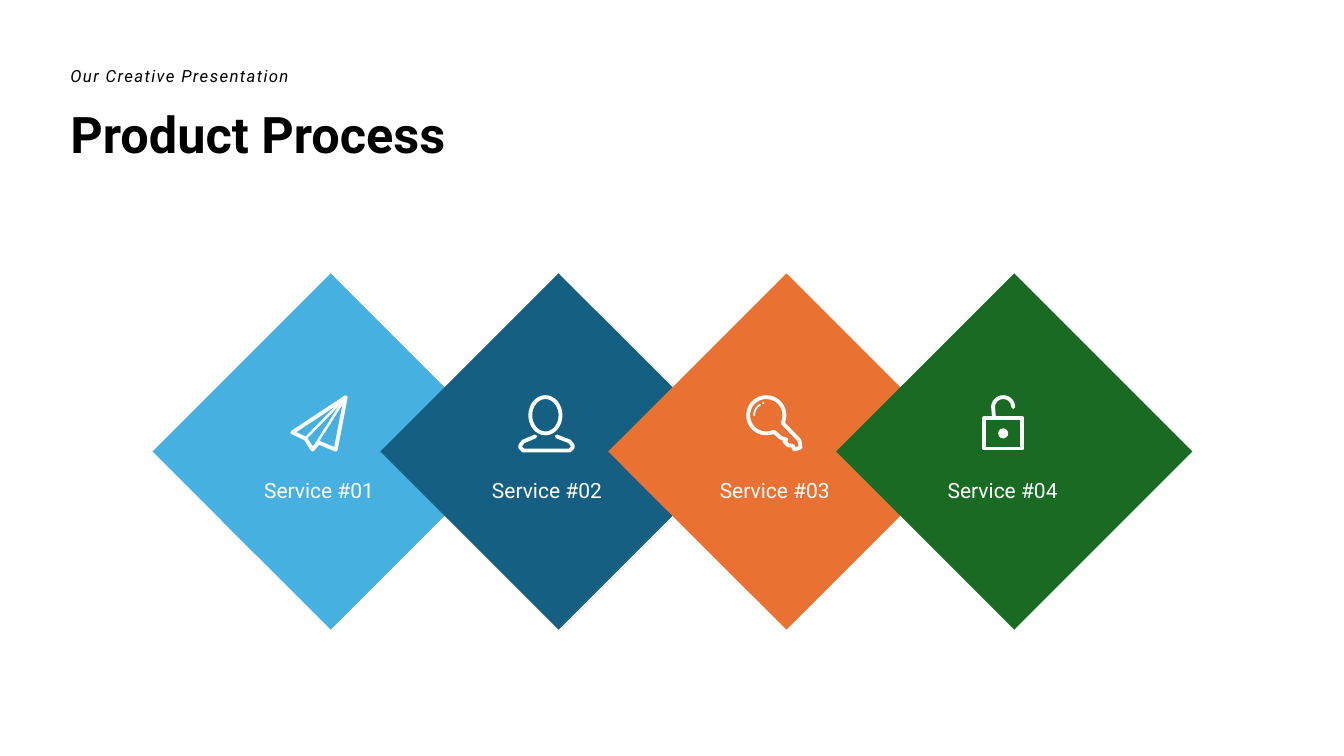
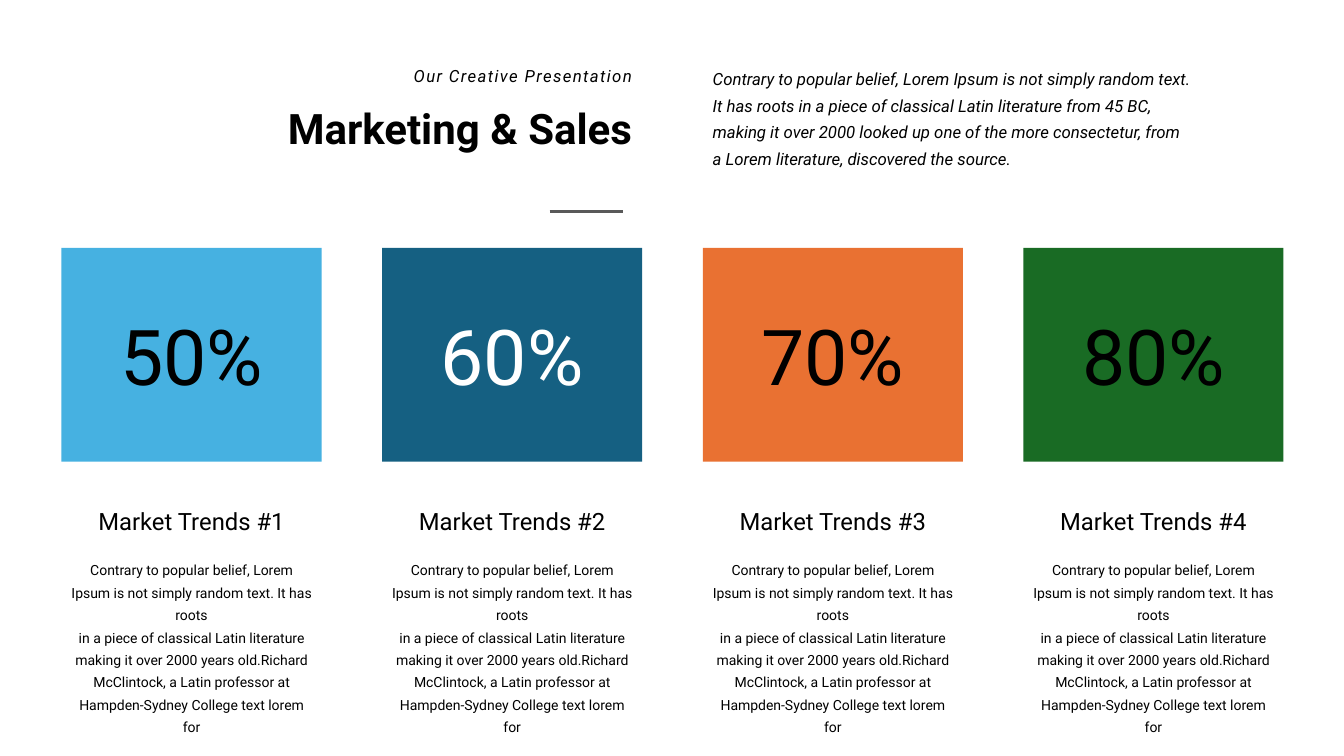
from dataclasses import dataclass
from math import cos, radians, sin

from pptx import Presentation
from pptx.dml.color import RGBColor
from pptx.enum.shapes import MSO_CONNECTOR as Connector, MSO_SHAPE as Shape
from pptx.enum.text import MSO_ANCHOR as Anchor, PP_ALIGN as Align
from pptx.oxml.ns import qn
from pptx.util import Inches, Pt


@dataclass(frozen=True)
class Theme:
    font: str = "Roboto"
    ink: str = "000000"
    paper: str = "FFFFFF"
    rule: str = "595959"
    accents: tuple = ("46B1E1", "156082", "E97132", "196B24")
    title: int = 36
    compact_title: int = 30
    kicker: int = 12
    intro: int = 12
    service: int = 15
    figure: int = 55
    heading: int = 17
    body: int = 10


THEME = Theme()


def arc(cx, cy, rx, ry, start, end, steps=32):
    """Points along an ellipse, in degrees clockwise from the right."""
    angles = [radians(start + (end - start) * i / steps) for i in range(steps + 1)]
    return [(cx + rx * cos(a), cy + ry * sin(a)) for a in angles]


@dataclass(frozen=True)
class Icon:
    """Strokes are (points, closed, weight); dots are (left, top, diameter)."""
    strokes: tuple
    dots: tuple = ()


PLANE_TIP = (0.55, 0.02)
PLANE = Icon((
    ([PLANE_TIP, (0.02, 0.37), (0.15, 0.43), (0.22, 0.54), (0.28, 0.47), (0.45, 0.54)],
     True, 2.75),
    ([PLANE_TIP, (0.15, 0.43)], False, 1.75),
    ([PLANE_TIP, (0.22, 0.54)], False, 1.75),
))
PERSON = Icon((
    (arc(0.27, 0.2, 0.15, 0.18, 0, 360), True, 2.75),
    ([(0.17, 0.41), (0.05, 0.46), (0.02, 0.5), (0.02, 0.52), (0.05, 0.55),
      (0.51, 0.55), (0.54, 0.52), (0.54, 0.5), (0.51, 0.46), (0.38, 0.41)],
     False, 2.75),
))
KEY = Icon((
    (arc(0.2, 0.2, 0.18, 0.18, 65, 385)
     + [(0.53, 0.45), (0.54, 0.52), (0.48, 0.54), (0.46, 0.5), (0.42, 0.5),
        (0.38, 0.46), (0.4, 0.44), (0.36, 0.43), (0.34, 0.42)], True, 2.75),
    (arc(0.2, 0.2, 0.12, 0.12, 180, 240), False, 1.25),
), ((0.16, 0.07, 0.02),))
LOCK = Icon((
    ([(0.1, 0.23), (0.48, 0.23), (0.48, 0.53), (0.1, 0.53)], True, 2.75),
    ([(0.2, 0.23)] + arc(0.29, 0.12, 0.1, 0.1, 180, 360), False, 2.75),
), ((0.24, 0.33, 0.1),))


class Deck:
    def __init__(self, theme):
        self.theme = theme
        self.file = Presentation()
        self.file.slide_width = Inches(13.33)
        self.file.slide_height = Inches(7.5)
        self.slide = None

    def new_slide(self):
        self.slide = self.file.slides.add_slide(self.file.slide_layouts[6])

    def fill_text(self, frame, paragraphs, size, color=None, align=Align.LEFT,
                  bold=False, italic=False, leading=None, tracking=0):
        frame.word_wrap = True
        for i, words in enumerate(paragraphs):
            paragraph = frame.paragraphs[0] if i == 0 else frame.add_paragraph()
            paragraph.alignment = align
            if leading:
                paragraph.line_spacing = Pt(leading)
            font = paragraph.font
            font.name, font.size = self.theme.font, Pt(size)
            font.bold, font.italic = bold, italic
            font.color.rgb = RGBColor.from_string(color or self.theme.ink)
            run = paragraph.add_run()
            run.text = words
            if tracking:
                run._r.get_or_add_rPr().set("spc", str(tracking * 100))

    def text(self, left, top, width, height, *paragraphs, **style):
        box = self.slide.shapes.add_textbox(
            Inches(left), Inches(top), Inches(width), Inches(height))
        self.fill_text(box.text_frame, paragraphs, **style)

    def block(self, kind, left, top, width, height, fill, rotation=0):
        block = self.slide.shapes.add_shape(
            kind, Inches(left), Inches(top), Inches(width), Inches(height))
        block.shadow.inherit = False
        block.fill.solid()
        block.fill.fore_color.rgb = RGBColor.from_string(fill)
        block.line.fill.background()
        block.rotation = rotation
        return block

    def rule(self, left, top, width):
        rule = self.slide.shapes.add_connector(
            Connector.STRAIGHT, Inches(left), Inches(top),
            Inches(left + width), Inches(top))
        rule.line.color.rgb = RGBColor.from_string(self.theme.rule)
        rule.line.width = Pt(2)
        properties = rule._element.spPr
        properties.append(properties.makeelement(qn("a:effectLst"), {}))

    def stroke(self, points, closed, weight):
        (x, y), *rest = [(Inches(px), Inches(py)) for px, py in points]
        builder = self.slide.shapes.build_freeform(x, y)
        builder.add_line_segments(rest, close=closed)
        outline = builder.convert_to_shape()
        outline.shadow.inherit = False
        outline.fill.background()
        outline.line.color.rgb = RGBColor.from_string(self.theme.paper)
        outline.line.width = Pt(weight)
        outline._element.spPr.get_or_add_ln().set("cap", "rnd")

    def icon(self, icon, left, top):
        for points, closed, weight in icon.strokes:
            self.stroke([(left + x, top + y) for x, y in points], closed, weight)
        for x, y, diameter in icon.dots:
            self.block(Shape.OVAL, left + x, top + y, diameter, diameter,
                       self.theme.paper)

    def header(self, title, size, left, width, align=Align.LEFT):
        self.text(left, 0.97, width, 0.7, title, size=size, align=align, bold=True)
        self.text(left, 0.6, width, 0.3, "Our Creative Presentation",
                  size=self.theme.kicker, align=align, italic=True, tracking=1)


def product_process(deck):
    theme = deck.theme
    deck.new_slide()
    deck.header("Product Process", theme.title, 0.6, 4.71)
    first, pitch, side = 2.03, 2.26, 2.5
    for i, accent in enumerate(theme.accents):
        deck.block(Shape.RECTANGLE, first + i * pitch, 3.23, side, side, accent,
                   rotation=45)
    for i, icon in enumerate((PLANE, PERSON, KEY, LOCK)):
        left = first + i * pitch
        deck.icon(icon, left + 0.85, 3.92)
        deck.text(left + 0.45, 4.69, 1.37, 0.35, f"Service #0{i + 1}",
                  size=theme.service, color=theme.paper, align=Align.CENTER)


def marketing_sales(deck):
    theme = deck.theme
    deck.new_slide()
    deck.header("Marketing & Sales", theme.compact_title, 2.48, 3.89, Align.RIGHT)
    deck.rule(5.45, 2.1, 0.73)
    deck.text(6.97, 0.57, 4.95, 1.14,
              "Contrary to popular belief, Lorem Ipsum is not simply random text. "
              "It has roots in a piece of classical Latin literature from 45 BC, "
              "making it over 2000 looked up one of the more consectetur, from "
              "a Lorem literature, discovered the source.",
              size=theme.intro, italic=True, leading=19)
    first, pitch, width = 0.61, 3.18, 2.58
    trends = (("50%", theme.ink), ("60%", theme.paper),
              ("70%", theme.ink), ("80%", theme.ink))
    for i, ((figure, color), accent) in enumerate(zip(trends, theme.accents)):
        left = first + i * pitch
        card = deck.block(Shape.RECTANGLE, left, 2.46, width, 2.12, accent)
        card.text_frame.vertical_anchor = Anchor.MIDDLE
        deck.fill_text(card.text_frame, [figure], size=theme.figure, color=color,
                       align=Align.CENTER)
        deck.text(left, 4.98, width, 0.39, f"Market Trends #{i + 1}",
                  size=theme.heading, align=Align.CENTER)
        deck.text(left, 5.47, width, 1.88,
                  "Contrary to popular belief, Lorem Ipsum is not simply random "
                  "text. It has roots",
                  "in a piece of classical Latin literature making it over 2000 "
                  "years old.Richard McClintock, a Latin professor at "
                  "Hampden-Sydney College text lorem for",
                  size=theme.body, align=Align.CENTER, leading=16)


def main():
    deck = Deck(THEME)
    product_process(deck)
    marketing_sales(deck)
    deck.file.save("out.pptx")


if __name__ == "__main__":
    main()
